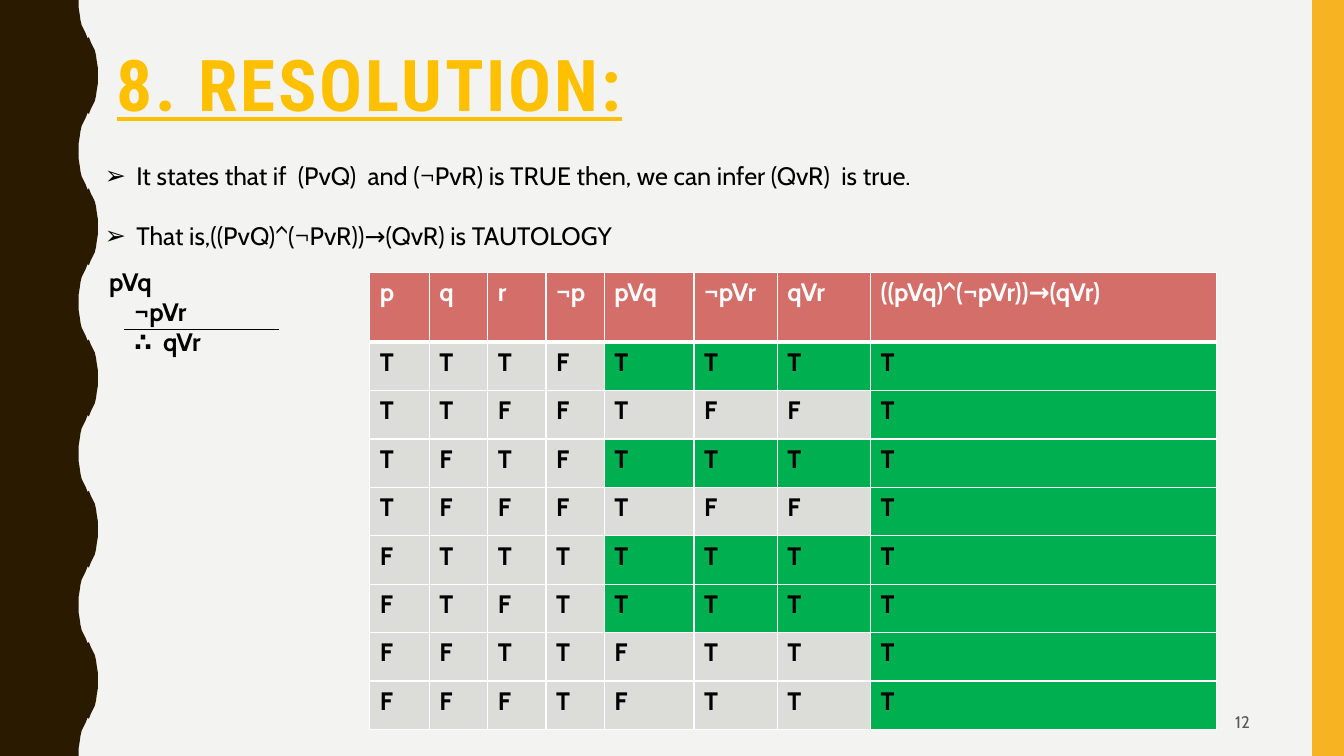
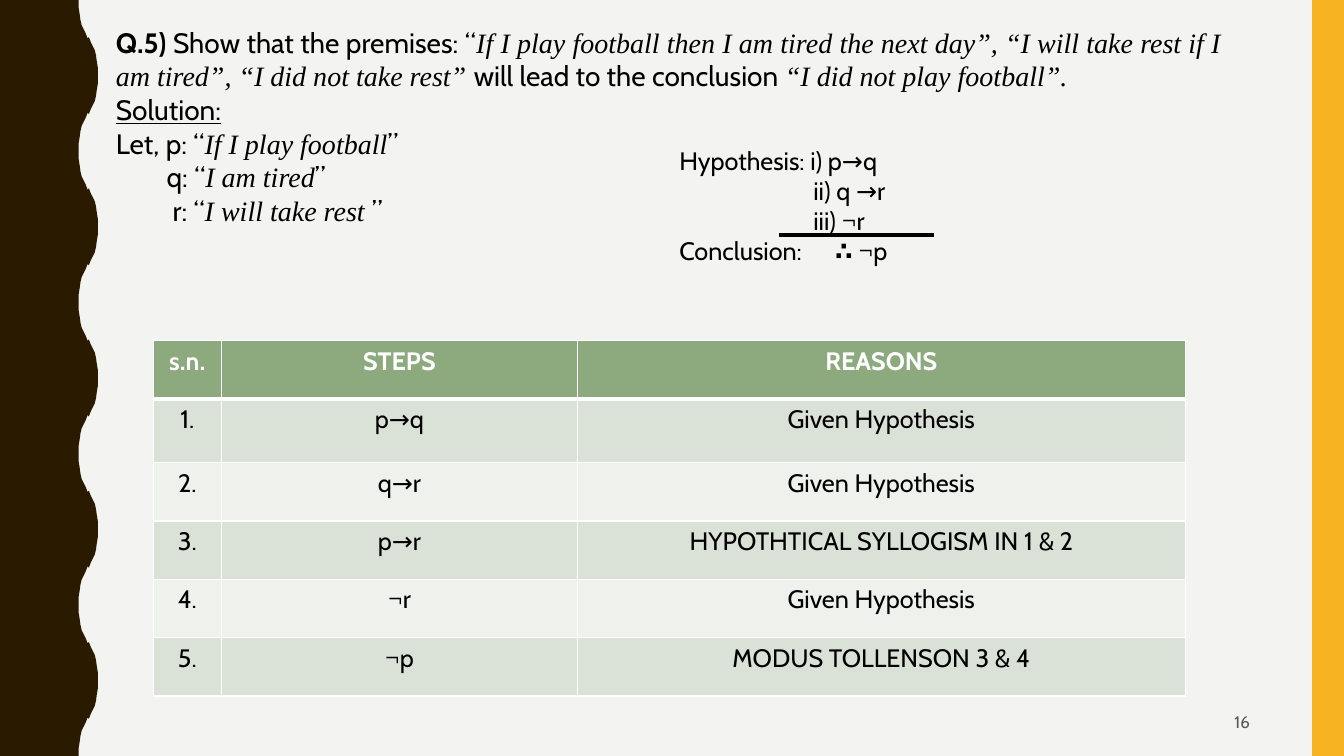
from lxml import etree
from pptx import Presentation
from pptx.dml.color import RGBColor
from pptx.enum.shapes import MSO_CONNECTOR, MSO_SHAPE
from pptx.enum.text import MSO_ANCHOR, MSO_AUTO_SIZE, PP_ALIGN
from pptx.oxml.ns import qn
from pptx.util import Cm, Pt

STRAIGHT = MSO_CONNECTOR.STRAIGHT
RECTANGLE = MSO_SHAPE.RECTANGLE
TOP, MIDDLE = MSO_ANCHOR.TOP, MSO_ANCHOR.MIDDLE
NO_AUTOFIT = MSO_AUTO_SIZE.NONE
LEFT, CENTER, RIGHT, JUSTIFY = PP_ALIGN.LEFT, PP_ALIGN.CENTER, PP_ALIGN.RIGHT, PP_ALIGN.JUSTIFY

PAPER = RGBColor(0xF3, 0xF3, 0xF2)
BROWN = RGBColor(0x2A, 0x1A, 0x00)
AMBER = RGBColor(0xF8, 0xB3, 0x23)
GOLD = RGBColor(0xFF, 0xC0, 0x00)
BLACK = RGBColor(0x00, 0x00, 0x00)
WHITE = RGBColor(0xFF, 0xFF, 0xFF)
GRAY = RGBColor(0x59, 0x59, 0x59)
CORAL = RGBColor(0xD3, 0x6F, 0x68)
SILVER = RGBColor(0xDC, 0xDC, 0xD9)
GREEN = RGBColor(0x00, 0xB0, 0x50)
SAGE = RGBColor(0x8C, 0xAA, 0x7E)
SAGE_BANDS = (RGBColor(0xDA, 0xE2, 0xD8), RGBColor(0xEE, 0xF1, 0xEC))

WIDTH, HEIGHT = 33.87, 19.05
WAVE_PERIOD, WAVE_COUNT = 3.81, 5
WAVE_START = [(1.98, 0), (1.98, 0.18), (2.01, 0.36), (2.03, 0.51),
              (2.06, 0.64), (2.11, 0.74), (2.16, 0.84), (2.21, 0.97)]

BODY = {"name": "Cabin", "size": Pt(18), "color": BLACK}
BOLD = BODY | {"bold": True}
HEADER = BOLD | {"color": WHITE}
TITLE = {"name": "Roboto Condensed", "size": Pt(51), "color": GOLD,
         "bold": True, "underline": True}
PAGE_NUMBER = BODY | {"size": Pt(12), "color": GRAY}
QUESTION = BODY | {"size": Pt(20)}
QUOTE = {"name": "Times New Roman", "italic": True}


def wave_edge():
    """Points of the wavy edge: a quarter wave, turned and then mirrored."""
    half = WAVE_START + [(4.45 - x, WAVE_PERIOD / 2 - y) for x, y in reversed(WAVE_START)]
    wave = half + [(x, WAVE_PERIOD - y) for x, y in half[-2::-1]]
    return [(x, y + i * WAVE_PERIOD) for i in range(WAVE_COUNT) for x, y in wave]


def format_font(font, style):
    for attribute, value in style.items():
        if attribute == "color":
            font.color.rgb = value
        else:
            setattr(font, attribute, value)


def write(paragraph, content, style, align=LEFT, tabs=()):
    """Content is a string or (text, style changes) pairs; tabs are in cm."""
    paragraph.alignment = align
    if tabs:
        tab_list = etree.SubElement(paragraph._p.get_or_add_pPr(), qn("a:tabLst"))
        for position in tabs:
            etree.SubElement(tab_list, qn("a:tab"), pos=str(Cm(position)), algn="l")
    for text, changes in [(content, {})] if isinstance(content, str) else content:
        run = paragraph.add_run()
        run.text = text
        format_font(run.font, style | changes)


def next_paragraph(frame, index):
    return frame.add_paragraph() if index else frame.paragraphs[0]


def place(shape, box):
    for attribute, value in zip(("left", "top", "width", "height"), box):
        setattr(shape, attribute, Cm(value))


def add_border(cell, side, points):
    line = etree.SubElement(cell._tc.get_or_add_tcPr(), qn(f"a:ln{side}"), w=str(Pt(points)))
    fill = etree.SubElement(line, qn("a:solidFill"))
    etree.SubElement(fill, qn("a:srgbClr"), val=str(WHITE))


class Deck:
    def __init__(self):
        self.presentation = Presentation()
        self.presentation.slide_width = Cm(WIDTH)
        self.presentation.slide_height = Cm(HEIGHT)
        self.slide = None

    def add_slide(self, layout_index, number):
        layout = self.presentation.slide_layouts[layout_index]
        self.slide = self.presentation.slides.add_slide(layout)
        if len(self.presentation.slides) == 1:
            self.decorate_master()
        self.text((23.93, 17.7, 7.82, 0.97), [(number, ())], PAGE_NUMBER, RIGHT, MIDDLE)

    def decorate_master(self):
        """Draw the background parts on the slide and move them to the master."""
        master = self.presentation.slide_master
        master.background.fill.solid()
        master.background.fill.fore_color.rgb = PAPER
        shapes = self.slide.shapes
        outline = shapes.build_freeform(0, 0, scale=1.0)
        points = [*wave_edge(), (0, HEIGHT)]
        outline.add_line_segments([(Cm(x), Cm(y)) for x, y in points], close=True)
        wave = outline.convert_to_shape()
        band = shapes.add_shape(RECTANGLE, Cm(33.07), 0, Cm(0.8), Cm(HEIGHT))
        for index, (shape, color) in enumerate(((wave, BROWN), (band, AMBER))):
            shape.shadow.inherit = False
            shape.fill.solid()
            shape.fill.fore_color.rgb = color
            shape.line.fill.background()
            shape.element.xpath("./p:nvSpPr/p:cNvPr")[0].set("id", str(100 + index))
            master.shapes.element.insert(2 + index, shape.element)

    def title(self, text, box):
        title = self.slide.shapes.title
        place(title, box)
        frame = title.text_frame
        frame.auto_size = NO_AUTOFIT
        frame.vertical_anchor = TOP
        paragraph = frame.paragraphs[0]
        paragraph.line_spacing = 0.9
        write(paragraph, text, TITLE)
        paragraph.runs[0].font._element.set("spc", "200")

    def bullets(self, items, box):
        body = self.slide.placeholders[1]
        place(body, box)
        frame = body.text_frame
        frame.auto_size = NO_AUTOFIT
        for index, item in enumerate(items):
            paragraph = next_paragraph(frame, index)
            paragraph.line_spacing = 2.0
            paragraph.space_before = Pt(0)
            properties = paragraph._p.get_or_add_pPr()
            properties.set("marL", str(Cm(0.79)))
            properties.set("indent", str(-Cm(0.79)))
            etree.SubElement(properties, qn("a:buChar"), char="➢")
            write(paragraph, item, BODY)

    def text(self, box, lines, style, align=LEFT, anchor=TOP):
        """Lines are (content, tab stops) pairs."""
        frame = self.slide.shapes.add_textbox(*map(Cm, box)).text_frame
        frame.word_wrap = True
        frame.vertical_anchor = anchor
        for index, (content, tabs) in enumerate(lines):
            write(next_paragraph(frame, index), content, style, align, tabs)

    def rule(self, left, right, y, points):
        line = self.slide.shapes.add_connector(STRAIGHT, Cm(left), Cm(y), Cm(right), Cm(y))
        line.line.color.rgb = BLACK
        line.line.width = Pt(points)
        etree.SubElement(line.element.spPr, qn("a:effectLst"))

    def table(self, corner, widths, heights, rows, style, fill_of, align=LEFT):
        """fill_of(row, column) gives the colour of a cell."""
        size = sum(widths), sum(heights)
        table = self.slide.shapes.add_table(
            len(rows), len(widths), *map(Cm, (*corner, *size))).table
        table.horz_banding = False
        for column, width in zip(table.columns, widths):
            column.width = Cm(width)
        for row, height in zip(table.rows, heights):
            row.height = Cm(height)
        for r, values in enumerate(rows):
            for c, value in enumerate(values):
                cell = table.cell(r, c)
                for side in "LRTB" if r == 0 else "LRB":
                    add_border(cell, side, 3 if r == 0 and side == "B" else 1)
                cell.fill.solid()
                cell.fill.fore_color.rgb = fill_of(r, c)
                write(cell.text_frame.paragraphs[0], value,
                      HEADER if r == 0 else style, align)


def resolution_slide(deck):
    deck.add_slide(1, "12")
    deck.title("8. RESOLUTION:", (2.69, 1.14, 23.7, 2.49))
    deck.bullets(["It states that if  (PvQ)  and (¬PvR) is TRUE then, we can infer (QvR)  is true.",
                  "That is,((PvQ)^(¬PvR))→(QvR) is TAUTOLOGY"],
                 (2.39, 3.15, 31.06, 4.88))
    deck.text((2.5, 6.58, 6.5, 2.8),
              [("pVq", ()), ("\t¬pVr", (0.64,)), ("\t∴\tqVr", (0.64, 1.36))], BOLD)

    truth_rows = [["p", "q", "r", "¬p", "pVq", "¬pVr", "qVr", "((pVq)^(¬pVr))→(qVr)"],
                  *map(list, ("TTTFTTTT", "TTFFTFFT", "TFTFTTTT", "TFFFTFFT",
                              "FTTTTTTT", "FTFTTTTT", "FFTTFTTT", "FFFTFTTT"))]

    def truth_fill(row, column):
        """Green marks the tautology and the rows where both premises hold."""
        if row == 0:
            return CORAL
        premises_hold = truth_rows[row][4:6] == ["T", "T"]
        return GREEN if column == 7 or (column > 3 and premises_hold) else SILVER

    deck.table((9.32, 6.86), [1.5, 1.47, 1.47, 1.47, 2.26, 2.1, 2.35, 8.72],
               [1.76] + [1.22] * 8, truth_rows, BOLD, truth_fill)
    deck.rule(3.12, 7.04, 8.31, 0.5)


def football_slide(deck):
    deck.add_slide(6, "16")
    deck.text((2.67, 0.51, 28.37, 7.95), [
        ([("Q.5) ", {"bold": True}),
          ("Show that the premises: “", {}),
          ("If I play football then I am tired the next day”, “I will take rest if I "
           "am tired”, “I did not take rest” ", QUOTE),
          ("will lead to the conclusion ", {}),
          ("“I did not play football”.", QUOTE)], ()),
        ([("Solution:", {"underline": True})], ()),
        ([("Let, p: “", {}), ("If I play football", QUOTE), ("”", {})], ()),
        ([("\tq: “", {}), ("I am tired", QUOTE), ("”", {})], (1.28,)),
        ([("\tr: “", {}), ("I will take rest ", QUOTE), ("”", {})], (1.43,)),
    ], QUESTION, JUSTIFY)
    deck.text((16.87, 3.53, 12.85, 3.33), [
        ("Hypothesis: i) p→q", ()),
        ("\tii) q →r", (3.38,)),
        ("\tiii) ¬r", (3.38,)),
        ([("Conclusion:\t", {}), ("∴ ", {"bold": True}), ("¬p", {})], (3.93,)),
    ], BODY)
    deck.rule(19.63, 23.55, 5.92, 2.25)

    proof_rows = [("s.n.", "STEPS", "REASONS"),
                  ("1.", "p→q", "Given Hypothesis"),
                  ("2.", "q→r", "Given Hypothesis"),
                  ("3.", "p→r", "HYPOTHTICAL SYLLOGISM IN 1 & 2"),
                  ("4.", "¬r", "Given Hypothesis"),
                  ("5.", "¬p", "MODUS TOLLENSON 3 & 4")]
    deck.table((3.86, 8.59), [1.72, 8.97, 15.32], [1.47, 1.6] + [1.47] * 4,
               proof_rows, BODY | {"bold": False},
               lambda row, column: SAGE_BANDS[(row - 1) % 2] if row else SAGE, CENTER)


def main():
    deck = Deck()
    resolution_slide(deck)
    football_slide(deck)
    deck.presentation.save("out.pptx")


if __name__ == "__main__":
    main()
